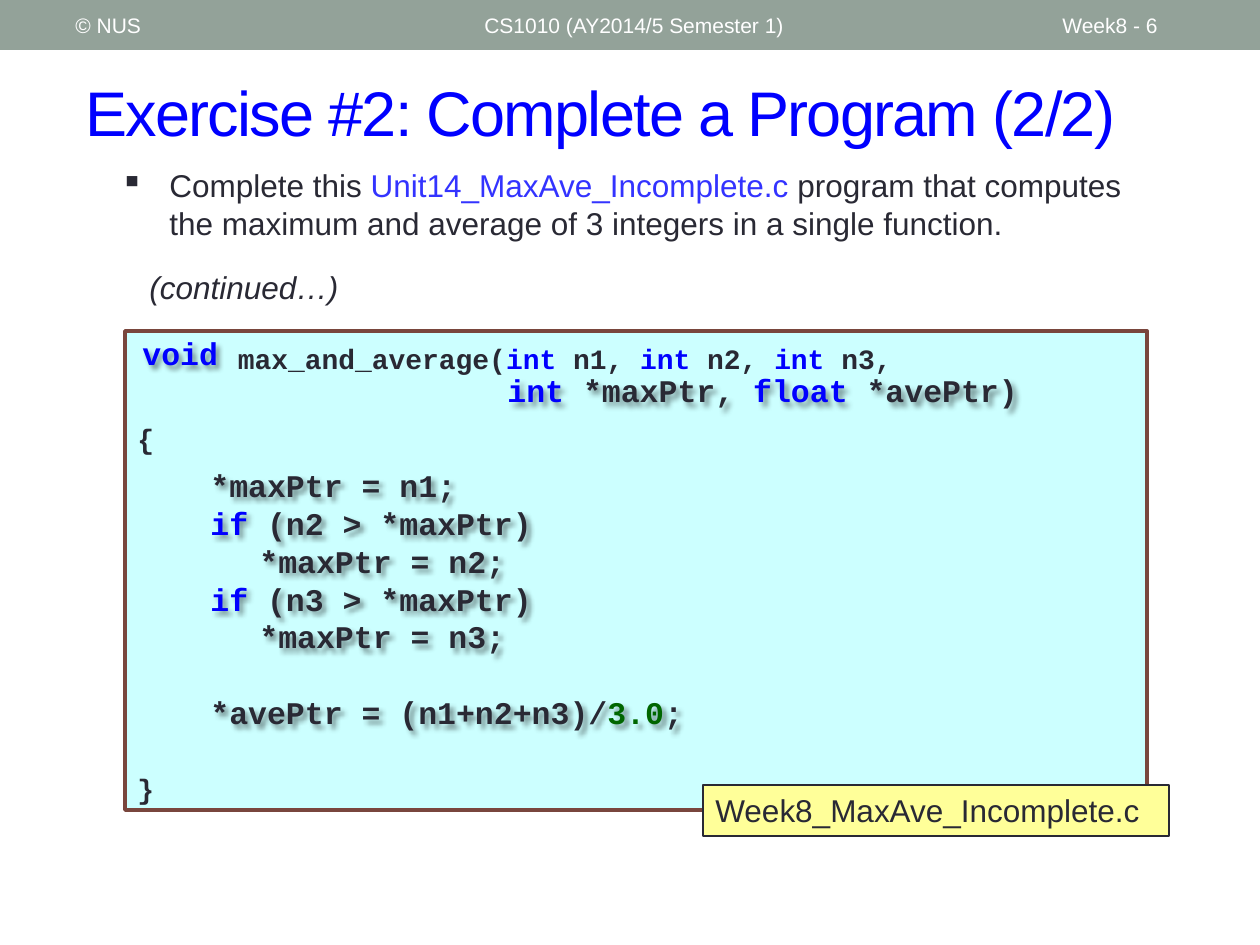
from dataclasses import dataclass

from lxml.etree import SubElement
from pptx import Presentation
from pptx.dml.color import RGBColor
from pptx.enum.shapes import MSO_SHAPE as Preset
from pptx.enum.text import MSO_ANCHOR as Anchor
from pptx.oxml.ns import qn
from pptx.util import Pt

EMU_PER_PX = 914400 / 126


@dataclass(frozen=True)
class Theme:
    sans: str = "Arial"
    mono: str = "Courier New"
    band: str = "93A299"
    white: str = "FFFFFF"
    ink: str = "292934"
    keyword: str = "0000FF"
    filename: str = "3333FF"
    number: str = "006600"
    code_fill: str = "CCFFFF"
    code_edge: str = "79463D"
    label_fill: str = "FFFF99"
    title_size: int = 36
    body_size: int = 18
    code_size: int = 16
    header_size: int = 12


THEME = Theme()


def px(length):
    return round(length * EMU_PER_PX)


def rgb(value):
    return RGBColor.from_string(value)


def panel(slide, box, fill, edge=None, edge_width=0.75):
    rect = slide.shapes.add_shape(Preset.RECTANGLE, *map(px, box))
    rect.shadow.inherit = False
    rect.fill.solid()
    rect.fill.fore_color.rgb = rgb(fill)
    if edge:
        rect.line.color.rgb = rgb(edge)
        rect.line.width = Pt(edge_width)
    else:
        rect.line.fill.background()
    return rect


def text_area(slide, box, anchor=Anchor.TOP):
    area = slide.shapes.add_textbox(*map(px, box))
    area.text_frame.word_wrap = True
    area.text_frame.vertical_anchor = anchor
    return area


def add_tab(paragraph, position):
    stops = SubElement(paragraph._p.get_or_add_pPr(), qn("a:tabLst"))
    SubElement(stops, qn("a:tab"), pos=str(px(position)), algn="l")


def write(paragraph, pieces, size, face=THEME.sans, color=THEME.ink, bold=False):
    font = paragraph.font
    font.name, font.size, font.bold = face, Pt(size), bold
    font.color.rgb = rgb(color)
    for piece in pieces:
        wording, tint = piece if isinstance(piece, tuple) else (piece, color)
        run = paragraph.add_run()
        run.text = wording
        if tint != color:
            run.font.color.rgb = rgb(tint)


def write_code(paragraph, pieces, size=THEME.body_size):
    paragraph.line_spacing = Pt(size * 1.2)
    write(paragraph, pieces, size, THEME.mono, bold=True)


def cast_shadow(area):
    area.shadow.inherit = False
    effects = area._element.spPr.find(qn("a:effectLst"))
    shadow = SubElement(effects, qn("a:outerShdw"), blurRad="38100", dist="38100",
                        dir="2700000", algn="tl")
    black = SubElement(shadow, qn("a:srgbClr"), val="000000")
    SubElement(black, qn("a:alpha"), val="43000")


def header(slide, box):
    left, top, width, height = box
    panel(slide, box, THEME.band)
    entries = [("© NUS", 63, 400), ("CS1010 (AY2014/5 Semester 1)", 472, 567),
               ("Week8 - 6", 1050, 147)]
    for wording, offset, entry_width in entries:
        area = text_area(slide, (left + offset, top + 3, entry_width, height - 5),
                         Anchor.MIDDLE)
        write(area.text_frame.paragraphs[0], [wording], THEME.header_size,
              color=THEME.white)


def title(slide, box):
    heading = text_area(slide, box, Anchor.MIDDLE).text_frame.paragraphs[0]
    write(heading, ["Exercise #2: Complete a Program (2/2)"], THEME.title_size,
          color=THEME.keyword)
    heading.runs[0].font._element.set("spc", "-100")


def task(slide, box):
    left, top, width, height = box
    instruction = text_area(slide, (left, top, width, 92)).text_frame.paragraphs[0]
    instruction.line_spacing = Pt(THEME.body_size * 1.2)
    properties = instruction._p.get_or_add_pPr()
    properties.set("marL", str(px(49)))
    properties.set("indent", str(-px(49)))
    SubElement(properties, qn("a:buChar"), char="▪")
    write(instruction, ["Complete this ",
                        ("Unit14_MaxAve_Incomplete.c ", THEME.filename),
                        "program that computes the maximum and average of 3 "
                        "integers in a single function."], THEME.body_size)
    note = text_area(slide, (left + 29, top + 102, 256, 50)).text_frame.paragraphs[0]
    write(note, ["(continued…)"], THEME.body_size)
    note.font.italic = True


def program(slide, box):
    left, top, width, height = box

    def keyword(word):
        return word, THEME.keyword

    frame = panel(slide, box, THEME.code_fill, THEME.code_edge, 2.08).text_frame
    frame.word_wrap = True
    frame.vertical_anchor = Anchor.TOP
    frame.margin_top = px(11)
    outline = [(["      max_and_average(", keyword("int"), " n1, ", keyword("int"),
                 " n2, ", keyword("int"), " n3,"], 0), (["{"], 26), (["}"], 181)]
    for index, (pieces, gap) in enumerate(outline):
        line = frame.add_paragraph() if index else frame.paragraphs[0]
        line.alignment = 1
        if gap:
            line.space_before = Pt(gap)
        write_code(line, pieces, THEME.code_size)

    label = panel(slide, (left + 578, top + 454, 466, 51), THEME.label_fill, THEME.ink)
    label.text_frame.vertical_anchor = Anchor.TOP
    label_line = label.text_frame.paragraphs[0]
    label_line.alignment = 1
    write(label_line, ["Week8_MaxAve_Incomplete.c"], THEME.body_size)

    answers = [
        ((5, -3, 139, 50), [[keyword("void")]]),
        ((370, 34, 572, 50), [[keyword("int"), " *maxPtr, ", keyword("float"),
                               " *avePtr)"]]),
        ((73, 129, 571, 280), [
            ["*maxPtr = n1;"],
            [keyword("if "), "(n2 > *maxPtr)"],
            ["\t*maxPtr = n2;"],
            [keyword("if"), " (n3 > *maxPtr)"],
            ["\t*maxPtr = n3;"],
            ["*avePtr = (n1+n2+n3)/", ("3.0", THEME.number), ";"],
        ]),
    ]
    for (x, y, answer_width, answer_height), lines in answers:
        answer = text_area(slide, (left + x, top + y, answer_width, answer_height))
        cast_shadow(answer)
        for index, pieces in enumerate(lines):
            line = answer.text_frame.add_paragraph() if index else \
                answer.text_frame.paragraphs[0]
            add_tab(line, 49)
            write_code(line, pieces)
        if len(lines) > 1:
            line.space_before = Pt(THEME.body_size * 1.2)


def main():
    deck = Presentation()
    deck.slide_width, deck.slide_height = px(1260), px(945)
    slide = deck.slides.add_slide(deck.slide_layouts[6])
    header(slide, (0, 0, 1260, 50))
    title(slide, (73, 53, 1155, 116))
    task(slide, (108, 160, 1056, 152))
    program(slide, (125, 331, 1022, 479))
    deck.save("out.pptx")


if __name__ == "__main__":
    main()
